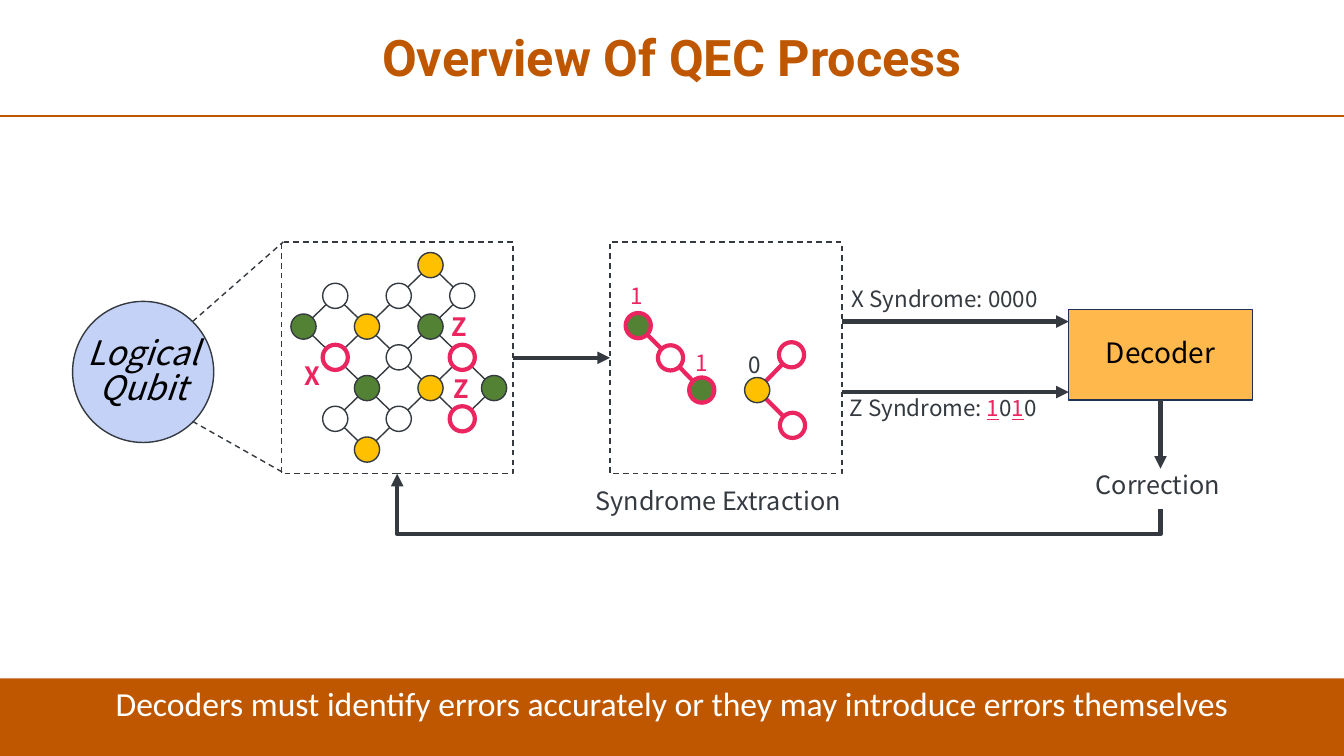
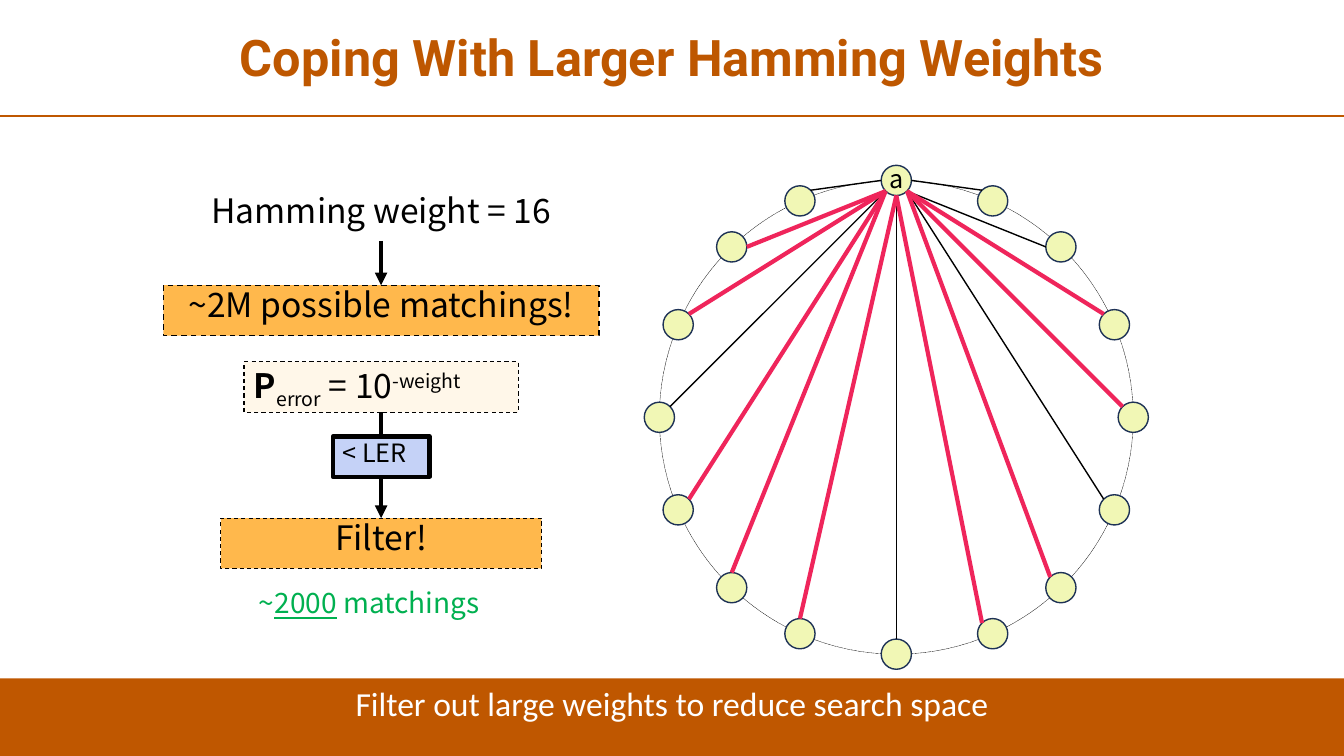
import math
from dataclasses import dataclass

from lxml import etree
from pptx import Presentation
from pptx.dml.color import RGBColor
from pptx.enum.dml import MSO_LINE
from pptx.enum.shapes import MSO_CONNECTOR, MSO_SHAPE
from pptx.enum.text import MSO_ANCHOR, PP_ALIGN
from pptx.oxml.ns import qn
from pptx.util import Inches, Pt

RECT, OVAL = MSO_SHAPE.RECTANGLE, MSO_SHAPE.OVAL
STRAIGHT, ELBOW = MSO_CONNECTOR.STRAIGHT, MSO_CONNECTOR.ELBOW
LEFT, CENTER = PP_ALIGN.LEFT, PP_ALIGN.CENTER
TOP, MIDDLE = MSO_ANCHOR.TOP, MSO_ANCHOR.MIDDLE
DASH, DOTTED = MSO_LINE.DASH, MSO_LINE.ROUND_DOT
SIDE_TOP, SIDE_LEFT, SIDE_BOTTOM, SIDE_RIGHT = range(4)


@dataclass(frozen=True)
class Theme:
    # Colours
    title: str = "BE5700"
    band: str = "BF5700"
    white: str = "FFFFFF"
    black: str = "000000"
    ink: str = "343A40"
    navy: str = "1E3256"
    error: str = "EB255F"
    heavy: str = "EF255B"
    green: str = "548235"
    gold: str = "FFC000"
    orange: str = "FFB84C"
    cream: str = "FFF7E9"
    blue: str = "C5D2F7"
    lime: str = "F1F7B5"
    result: str = "00B050"
    # Fonts and type sizes
    title_font: str = "Roboto"
    band_font: str = "Calibri"
    body_font: str = "Noto Sans CJK JP"
    title_size: int = 36
    large: int = 24
    medium: int = 20
    label: int = 18
    small: int = 16
    body_spacing: float = 0.86


T = Theme()
WIDTH, HEIGHT = 13.33, 7.5
QUBIT = 0.25  # diameter of a qubit on the first slide
VERTEX = 0.3  # diameter of a vertex on the second slide


def rgb(value):
    return RGBColor.from_string(value)


def set_line(line, color, width, dash=None):
    line.color.rgb = rgb(color)
    line.width = Pt(width)
    if dash:
        line.dash_style = dash


def write(shape, lines, size, color=T.black, font=T.body_font, align=LEFT,
          anchor=TOP, spacing=T.body_spacing, bold=None, italic=None):
    """Fill a shape with lines; a line is a string or a list of (text, changes)."""
    frame = shape.text_frame
    frame.word_wrap = True
    frame.vertical_anchor = anchor
    for number, line in enumerate(lines):
        paragraph = frame.add_paragraph() if number else frame.paragraphs[0]
        paragraph.alignment = align
        paragraph.line_spacing = spacing
        style = paragraph.font
        style.name, style.size, style.color.rgb = font, Pt(size), rgb(color)
        style.bold, style.italic = bold, italic
        for text, changes in [(line, {})] if isinstance(line, str) else line:
            run = paragraph.add_run()
            run.text = text
            run.font.bold = changes.get("bold")
            run.font.underline = changes.get("underline")
            if "color" in changes:
                run.font.color.rgb = rgb(changes["color"])
            if "baseline" in changes:
                run.font._element.set("baseline", str(changes["baseline"] * 1000))


def label(slide, at, lines, size, color=T.black, **style):
    box = slide.shapes.add_textbox(*map(Inches, at))
    write(box, lines, size, color, **style)
    return box


def block(slide, at, fill=None, line=None, kind=RECT):
    shape = slide.shapes.add_shape(kind, *map(Inches, at))
    shape.shadow.inherit = False
    if fill:
        shape.fill.solid()
        shape.fill.fore_color.rgb = rgb(fill)
    else:
        shape.fill.background()
    if line:
        set_line(shape.line, *line)
    else:
        shape.line.fill.background()
    return shape


def circle(slide, center, diameter, fill, line):
    x, y = center
    radius = diameter / 2
    return block(slide, (x - radius, y - radius, diameter, diameter), fill, line, OVAL)


def connector(slide, start, end, line, arrow=False, kind=STRAIGHT):
    link = slide.shapes.add_connector(kind, *map(Inches, (*start, *end)))
    set_line(link.line, *line)
    properties = link._element.spPr
    if arrow:
        head = etree.SubElement(link.line._get_or_add_ln(), qn("a:tailEnd"))
        head.set("type", "triangle")
    etree.SubElement(properties, qn("a:effectLst"))
    return link


def join(slide, source, source_side, target, target_side, line, kind=STRAIGHT):
    """Draw an arrow from the middle of one side to the middle of another."""
    link = connector(slide, (0, 0), (1, 1), line, True, kind)
    link.begin_connect(source, source_side)
    link.end_connect(target, target_side)
    return link


def loop_below(slide, source, target, drop, line):
    """Lead an arrow from one bottom side, drop below it, and up to another."""
    link = join(slide, source, SIDE_BOTTOM, target, SIDE_BOTTOM, line, ELBOW)
    middle_x = (link.begin_x + link.end_x) // 2
    middle_y = (link.begin_y + link.end_y) // 2
    # The frame is stored turned by a quarter
    rise, span = abs(link.end_y - link.begin_y), abs(link.end_x - link.begin_x)
    link.left, link.top = middle_x - rise // 2, middle_y - span // 2
    link.width, link.height = rise, span
    frame = link._element.spPr.find(qn("a:xfrm"))
    frame.set("rot", "5400000")
    frame.set("flipH", "1")
    frame.set("flipV", "0")
    geometry = link._element.spPr.find(qn("a:prstGeom"))
    values = geometry.find(qn("a:avLst"))
    if values is None:
        values = etree.SubElement(geometry, qn("a:avLst"))
    guide = etree.SubElement(values, qn("a:gd"))
    guide.set("name", "adj1")
    guide.set("fmla", f"val {-round(Inches(drop) / rise * 100000)}")


def new_slide(deck, title, takeaway):
    slide = deck.slides.add_slide(deck.slide_layouts[6])
    label(slide, (0.09, 0.04, 13.15, 1.11), [title], T.title_size, T.title,
          font=T.title_font, align=CENTER, anchor=MIDDLE, spacing=0.9, bold=True)
    connector(slide, (0, 1.15), (WIDTH, 1.15), (T.band, 1.5))
    band = block(slide, (0, 6.73, WIDTH, HEIGHT - 6.73), T.band)
    write(band, [takeaway], T.large, T.white, font=T.band_font, align=CENTER, spacing=1)
    return slide


def lattice(slide):
    """Surface code: data qubits on odd points, checks diagonally between them."""
    def point(column, row):
        return 3.01 + 0.315 * column, 2.63 + 0.305 * row

    thin, thick = (T.ink, 1), (T.error, 3)
    data = [(column, row) for column in (1, 3, 5) for row in (1, 3, 5)]
    flipped = {(1, 3), (5, 3), (5, 5)}
    checks = {
        T.green: [(0, 2), (2, 4), (4, 2), (6, 4)],
        T.gold: [(2, 2), (4, 4), (2, 6), (4, 0)],
    }
    for column, row in sum(checks.values(), []):
        for qubit in data:
            if abs(qubit[0] - column) == abs(qubit[1] - row) == 1:
                connector(slide, point(column, row), point(*qubit), thin)
    for qubit in data:
        circle(slide, point(*qubit), QUBIT, T.white, thick if qubit in flipped else thin)
    for color, places in checks.items():
        for place in places:
            circle(slide, point(*place), QUBIT, color, thin)
    for name, x, y in (("X", 2.92, 3.57), ("Z", 4.38, 3.08), ("Z", 4.4, 3.7)):
        label(slide, (x, y, 0.39, 0.4), [name], T.label, T.error, bold=True)


def syndrome_graphs(slide):
    thick = (T.error, 3)
    chain = [(6.33, 3.23), (6.65, 3.55), (6.96, 3.87)]
    fork = [(7.85, 3.52), (7.51, 3.87), (7.86, 4.22)]
    for route in (chain, fork):
        for start, end in zip(route, route[1:]):
            connector(slide, start, end, thick)
    fills = (T.green, T.white, T.green, T.white, T.gold, T.white)
    for center, fill in zip(chain + fork, fills):
        circle(slide, center, QUBIT, fill, (T.ink, 1) if fill == T.gold else thick)
    for bit, x, y, color in (("1", 6.16, 2.79, T.error), ("1", 6.8, 3.45, T.error),
                             ("0", 7.33, 3.47, T.ink)):
        label(slide, (x, y, 0.34, 0.37), [bit], T.small, color)


def build_process(deck):
    slide = new_slide(deck, "Overview Of QEC Process",
                      "Decoders must identify errors accurately or they may "
                      "introduce errors themselves")
    dashed, arrow = (T.ink, 1, DASH), (T.ink, 3)

    # Logical qubit, opened up into its lattice
    circle(slide, (1.42, 3.69), 1.4, T.blue, (T.ink, 1))
    label(slide, (0.52, 3.3, 1.8, 0.91), ["Logical", "Qubit"], T.large,
          align=CENTER, italic=True)
    for start, end in (((1.91, 3.19), (2.81, 2.4)), ((1.91, 4.18), (2.83, 4.7))):
        connector(slide, start, end, dashed)
    code, extraction = [block(slide, (x, 2.4, 2.3, 2.3), line=dashed) for x in (2.79, 6.05)]
    lattice(slide)

    # Syndrome extraction
    join(slide, code, SIDE_RIGHT, extraction, SIDE_LEFT, arrow)
    syndrome_graphs(slide)
    label(slide, (5.81, 4.81, 2.77, 0.4), ["Syndrome Extraction"], T.label, T.ink)

    # Decoder and its two inputs
    decoder = block(slide, (10.6, 3.07, 1.82, 0.9), T.orange, (T.navy, 1))
    write(decoder, ["Decoder"], T.medium, align=CENTER, anchor=MIDDLE)
    for y in (3.19, 3.89):
        connector(slide, (8.35, y), (10.6, y), arrow, True)
    one = {"color": T.error, "underline": True}
    label(slide, (8.35, 2.82, 2.28, 0.37), ["X Syndrome: 0000"], T.small, T.ink)
    label(slide, (8.33, 3.9, 2.27, 0.37),
          [[("Z Syndrome: ", {}), ("1", one), ("0", {}), ("1", one), ("0", {})]],
          T.small, T.ink)

    # Correction, fed back to the lattice
    correction = label(slide, (10.77, 4.65, 1.48, 0.4), ["Correction"], T.label, T.ink)
    join(slide, decoder, SIDE_BOTTOM, correction, SIDE_TOP, arrow)
    loop_below(slide, correction, code, 0.25, arrow)


def polar(center, radius, degrees):
    """Point at a clockwise angle from the top."""
    angle = math.radians(degrees)
    return center[0] + radius * math.sin(angle), center[1] - radius * math.cos(angle)


def matching_graph(slide):
    center, radius = (8.89, 4.14), 2.35
    # Angle of the vertex, port on a, port on the vertex, large weight
    edges = [
        (24, 90, -45, False), (44, 135, -90, False), (67, 135, -45, True),
        (90, 135, -45, True), (113, 135, -45, False), (136, 135, -45, True),
        (156, 180, -45, True), (180, 180, 0, False),
        (-24, -90, 45, False), (-44, -135, 90, True), (-67, -135, 45, True),
        (-90, -135, 45, False), (-113, -135, 45, True), (-136, -135, 0, True),
        (-156, 180, 0, True),
    ]
    circle(slide, center, 2 * radius, None, (T.black, 0.25, DOTTED))
    source = polar(center, radius, 0)
    hub = circle(slide, source, VERTEX, T.lime, (T.navy, 1))
    frame = hub.text_frame
    frame.margin_left = frame.margin_right = frame.margin_top = frame.margin_bottom = 0
    write(hub, ["a"], T.label, align=CENTER, anchor=MIDDLE)
    for angle, leave, arrive, large in sorted(edges, key=lambda edge: edge[3]):
        vertex = polar(center, radius, angle)
        circle(slide, vertex, VERTEX, T.lime, (T.navy, 1))
        connector(slide, polar(source, VERTEX / 2, leave), polar(vertex, VERTEX / 2, arrive),
                  (T.heavy, 3) if large else (T.black, 1))


def build_filtering(deck):
    slide = new_slide(deck, "Coping With Larger Hamming Weights",
                      "Filter out large weights to reduce search space")
    matching_graph(slide)
    arrow, dashed = (T.black, 3), (T.black, 0.75, DASH)

    # From the weight to the number of matchings
    weight = label(slide, (1.82, 1.89, 3.92, 0.5), ["Hamming weight = 16"], T.large,
                   align=CENTER)
    matchings = block(slide, (1.62, 2.83, 4.32, 0.5), T.orange, (T.black, 1, DASH))
    write(matchings, ["~2M possible matchings!"], T.large, align=CENTER)
    join(slide, weight, SIDE_BOTTOM, matchings, SIDE_TOP, arrow)

    # Filter by error probability
    probability = block(slide, (2.42, 3.59, 2.72, 0.5), T.cream, dashed)
    write(probability, [[("P", {"bold": True}), ("error", {"baseline": -25}),
                         (" = 10", {}), ("-weight", {"baseline": 30})]], T.large)
    outcome = block(slide, (2.19, 5.14, 3.18, 0.5), T.orange, dashed)
    write(outcome, ["Filter!"], T.large, align=CENTER)
    join(slide, probability, SIDE_BOTTOM, outcome, SIDE_TOP, arrow)
    threshold = block(slide, (3.3, 4.33, 0.96, 0.4), T.blue, arrow)
    write(threshold, ["< LER"], T.label)
    label(slide, (2.47, 5.81, 2.63, 0.44),
          [[("~", {}), ("2000", {"underline": True}), (" matchings", {})]],
          T.medium, T.result)


def main():
    deck = Presentation()
    deck.slide_width, deck.slide_height = Inches(WIDTH), Inches(HEIGHT)
    build_process(deck)
    build_filtering(deck)
    deck.save("out.pptx")


if __name__ == "__main__":
    main()
